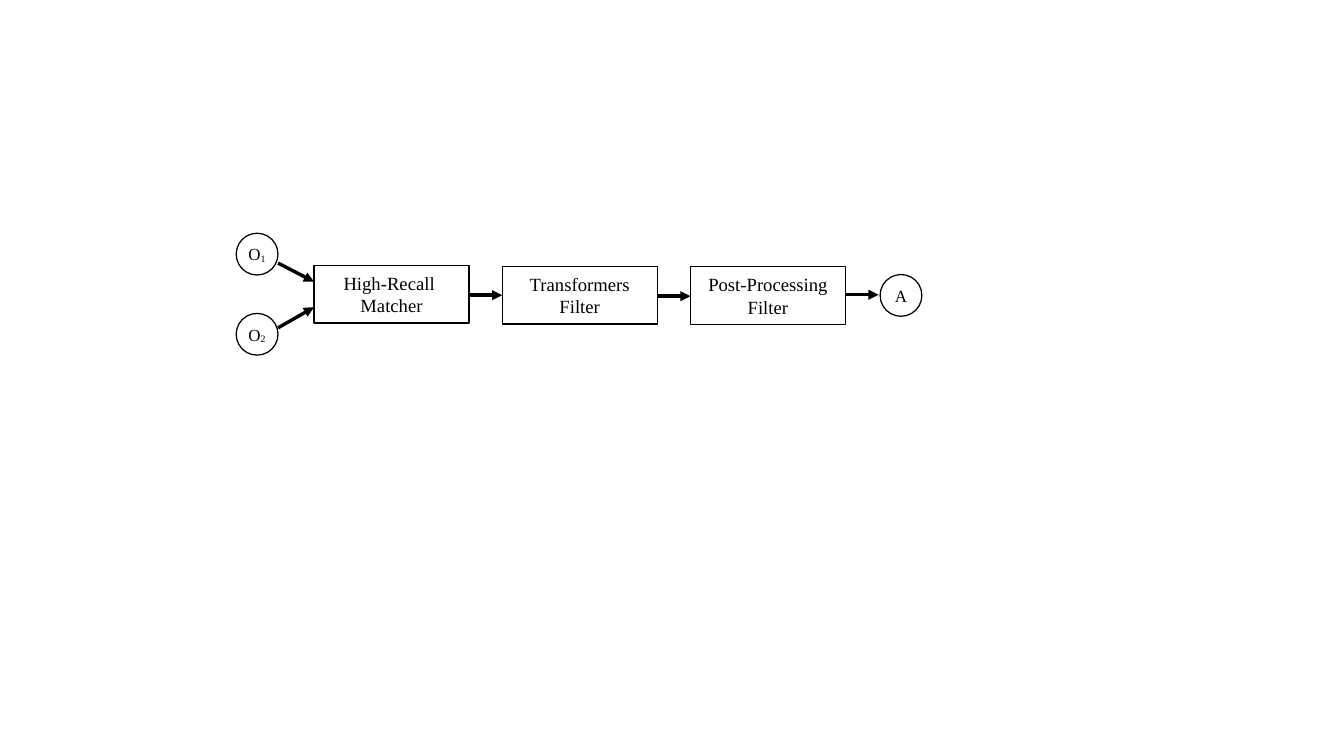
from copy import deepcopy

from pptx import Presentation
from pptx import util as u
from pptx.dml.color import RGBColor
from pptx.enum import shapes, text
from pptx.oxml.ns import qn
from pptx.oxml.xmlchemy import OxmlElement

COLORS = {"ink": "000000", "paper": "FFFFFF"}


class Pipeline:
    """Draws the parts of a matching pipeline on one slide."""

    def __init__(self, slide, font_name="Times New Roman"):
        self.slide = slide
        self.font_name = font_name
        self.ink = RGBColor.from_string(COLORS["ink"])
        self.paper = RGBColor.from_string(COLORS["paper"])

    def outline(self, line):
        line.color.rgb = self.ink
        line.width = u.Pt(0)

    def node(self, kind, left, top, width, height, size, label, index=""):
        node = self.slide.shapes.add_shape(
            kind, u.Cm(left), u.Cm(top), u.Cm(width), u.Cm(height))
        node.shadow.inherit = False
        node.fill.solid()
        node.fill.fore_color.rgb = self.paper
        self.outline(node.line)
        frame = node.text_frame
        frame.word_wrap = False
        frame.vertical_anchor = text.MSO_ANCHOR.MIDDLE
        caption = frame.paragraphs[0]
        caption.alignment = text.PP_ALIGN.CENTER
        caption.text = label
        if index:
            caption.add_run().text = index
        for run in caption.runs:
            for key, value in {"name": self.font_name, "size": u.Pt(size)}.items():
                setattr(run.font, key, value)
            run.font.color.rgb = self.ink
        for line_break in caption._p.findall(qn("a:br")):
            line_break.append(deepcopy(caption.runs[0]._r.rPr))
        if index:
            caption.runs[-1]._r.rPr.set("baseline", "-8000")

    def circle(self, left, top, label, index=""):
        self.node(shapes.MSO_SHAPE.OVAL, left, top, 0.87, 0.87, 10, label, index)

    def stage(self, left, top, label):
        self.node(shapes.MSO_SHAPE.RECTANGLE, left, top, 3.23, 1.2, 11, label)

    def arrow(self, x1, y1, x2, y2):
        arrow = self.slide.shapes.add_connector(
            shapes.MSO_CONNECTOR.STRAIGHT, u.Cm(x1), u.Cm(y1), u.Cm(x2), u.Cm(y2))
        self.outline(arrow.line)
        head = OxmlElement("a:tailEnd")
        head.set("type", "triangle")
        arrow.line._get_or_add_ln().append(head)
        arrow._element.spPr.append(OxmlElement("a:effectLst"))


def main():
    deck = Presentation()
    deck.slide_width, deck.slide_height = u.Cm(27.99), u.Cm(15.75)
    pipeline = Pipeline(deck.slides.add_slide(deck.slide_layouts[6]))

    first_stage, step, stage_width = 6.54, 3.92, 3.23
    ontologies = [("1", 4.86, 5.48, 5.87), ("2", 6.53, 6.83, 6.4)]
    for index, top, start, end in ontologies:
        pipeline.circle(4.92, top, "O", index)
        pipeline.arrow(5.79, start, first_stage, end)

    stages = [("High-Recall \vMatcher", 5.53, 6.15),
              ("Transformers\vFilter", 5.55, 6.17),
              ("Post-Processing\vFilter", 5.56, 6.14)]
    for position, (label, top, exit_y) in enumerate(stages):
        left = first_stage + position * step
        pipeline.stage(left, top, label)
        pipeline.arrow(left + stage_width, exit_y, left + step, exit_y)

    pipeline.circle(18.33, 5.72, "A")
    deck.save("out.pptx")


if __name__ == "__main__":
    main()
